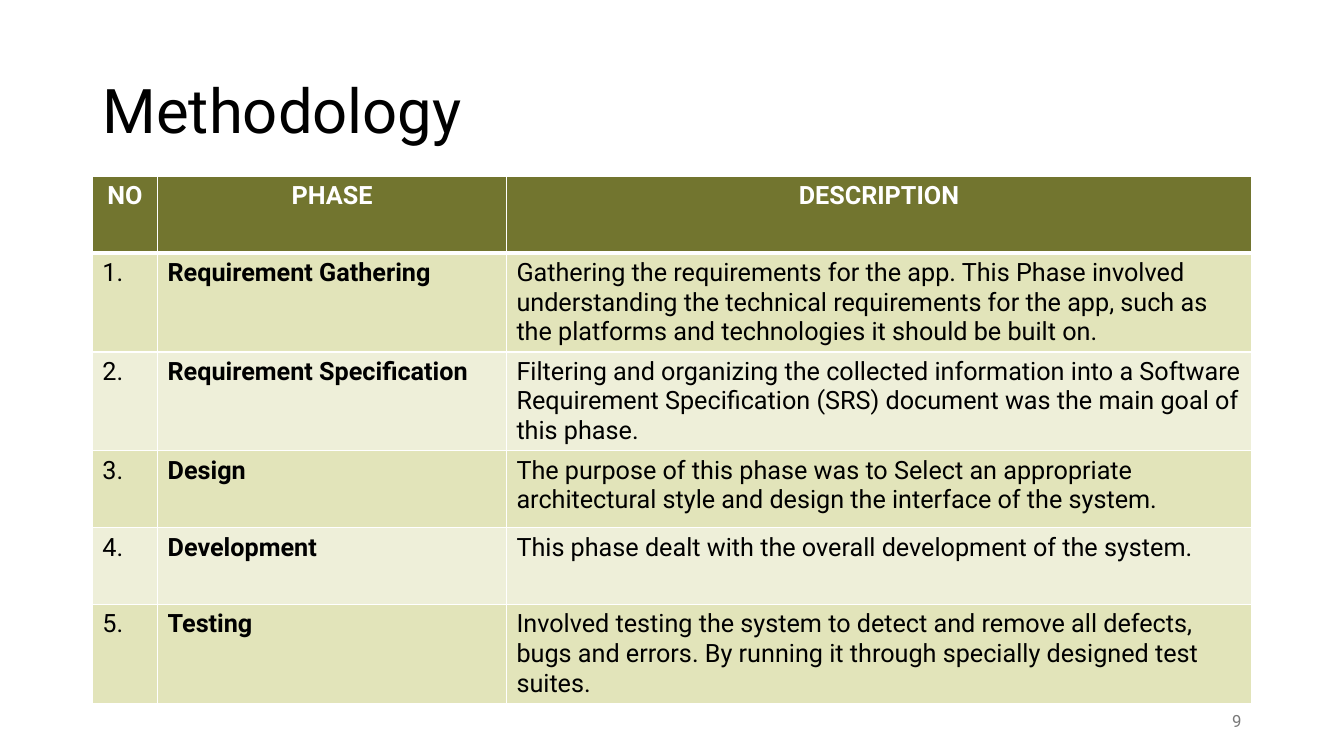
from lxml import etree
from pptx import Presentation
from pptx.dml.color import RGBColor
from pptx.enum.text import MSO_ANCHOR, PP_ALIGN
from pptx.oxml.ns import qn
from pptx.util import Pt

LEFT, CENTER, RIGHT = PP_ALIGN.LEFT, PP_ALIGN.CENTER, PP_ALIGN.RIGHT
MIDDLE = MSO_ANCHOR.MIDDLE

FONT = "Roboto"
BLACK = RGBColor(0x00, 0x00, 0x00)
WHITE = RGBColor(0xFF, 0xFF, 0xFF)
GRAY = RGBColor(0x79, 0x79, 0x79)
OLIVE = RGBColor(0x72, 0x75, 0x2F)
BANDS = (RGBColor(0xE2, 0xE4, 0xBA), RGBColor(0xEE, 0xEF, 0xD9))

CONTENT_LEFT = 66
CONTENT_WIDTH = 828
COLUMN_WIDTHS = (46.6, 249.2, 532.2)
ROW_HEIGHT = 54.9

HEADINGS = ("NO", "PHASE", "DESCRIPTION")
PHASES = (
    ("Requirement Gathering",
     "Gathering the requirements for the app. This Phase involved understanding the "
     "technical requirements for the app, such as the platforms and technologies it "
     "should be built on."),
    ("Requirement Specification",
     "Filtering and organizing the collected information into a Software Requirement "
     "Specification (SRS) document was the main goal of this phase."),
    ("Design",
     "The purpose of this phase was to Select an appropriate architectural style and "
     "design the interface of the system."),
    ("Development",
     "This phase dealt with the overall development of the system."),
    ("Testing",
     "Involved testing the system to detect and remove all defects, bugs and errors. "
     "By running it through specially designed test suites."),
)


def write_text(text_frame, text, size=18, color=BLACK, bold=False, align=LEFT,
               line_spacing=1.0):
    text_frame.word_wrap = True
    paragraph = text_frame.paragraphs[0]
    paragraph.alignment = align
    paragraph.line_spacing = line_spacing
    run = paragraph.add_run()
    run.text = text
    run.font.name = FONT
    run.font.size = Pt(size)
    run.font.bold = bold
    run.font.color.rgb = color


def add_title(slide, text):
    title = slide.shapes.title
    title.left, title.top = Pt(CONTENT_LEFT), Pt(28.8)
    title.width, title.height = Pt(CONTENT_WIDTH), Pt(104.4)
    title.text_frame.vertical_anchor = MIDDLE
    write_text(title.text_frame, text, size=44, line_spacing=0.9)


def set_borders(cell, top, bottom):
    """Draw white cell borders; the side lines are one point wide."""
    properties = cell._tc.get_or_add_tcPr()
    for side, width in (("L", 1), ("R", 1), ("T", top), ("B", bottom)):
        line = etree.SubElement(properties, qn(f"a:ln{side}"), w=str(Pt(width)))
        fill = etree.SubElement(line, qn("a:solidFill"))
        etree.SubElement(fill, qn("a:srgbClr"), val=str(WHITE))


def fill_cell(cell, text, fill, top=1, bottom=1, **text_format):
    set_borders(cell, top, bottom)
    cell.fill.solid()
    cell.fill.fore_color.rgb = fill
    write_text(cell.text_frame, text, **text_format)


def add_phase_table(slide):
    row_count = len(PHASES) + 1
    table = slide.shapes.add_table(
        row_count, len(HEADINGS), Pt(CONTENT_LEFT), Pt(126),
        Pt(CONTENT_WIDTH), Pt(ROW_HEIGHT * row_count)).table
    for column, width in zip(table.columns, COLUMN_WIDTHS):
        column.width = Pt(width)
    for row in table.rows:
        row.height = Pt(ROW_HEIGHT)

    for column, heading in enumerate(HEADINGS):
        fill_cell(table.cell(0, column), heading, OLIVE, bottom=3,
                  color=WHITE, bold=True, align=CENTER)
    for number, (phase, description) in enumerate(PHASES, start=1):
        band = BANDS[(number - 1) % 2]
        top = 3 if number == 1 else 1
        for column, text in enumerate((f"{number}.", phase, description)):
            fill_cell(table.cell(number, column), text, band, top=top,
                      bold=column == 1)


def add_page_number(slide, number):
    box = slide.shapes.add_textbox(Pt(678), Pt(500.5), Pt(216), Pt(28.8))
    box.text_frame.vertical_anchor = MIDDLE
    write_text(box.text_frame, number, size=12, color=GRAY, align=RIGHT)


def main():
    presentation = Presentation()
    presentation.slide_width, presentation.slide_height = Pt(960), Pt(540)
    slide = presentation.slides.add_slide(presentation.slide_layouts[5])
    add_title(slide, "Methodology")
    add_phase_table(slide)
    add_page_number(slide, "9")
    presentation.save("out.pptx")


if __name__ == "__main__":
    main()
